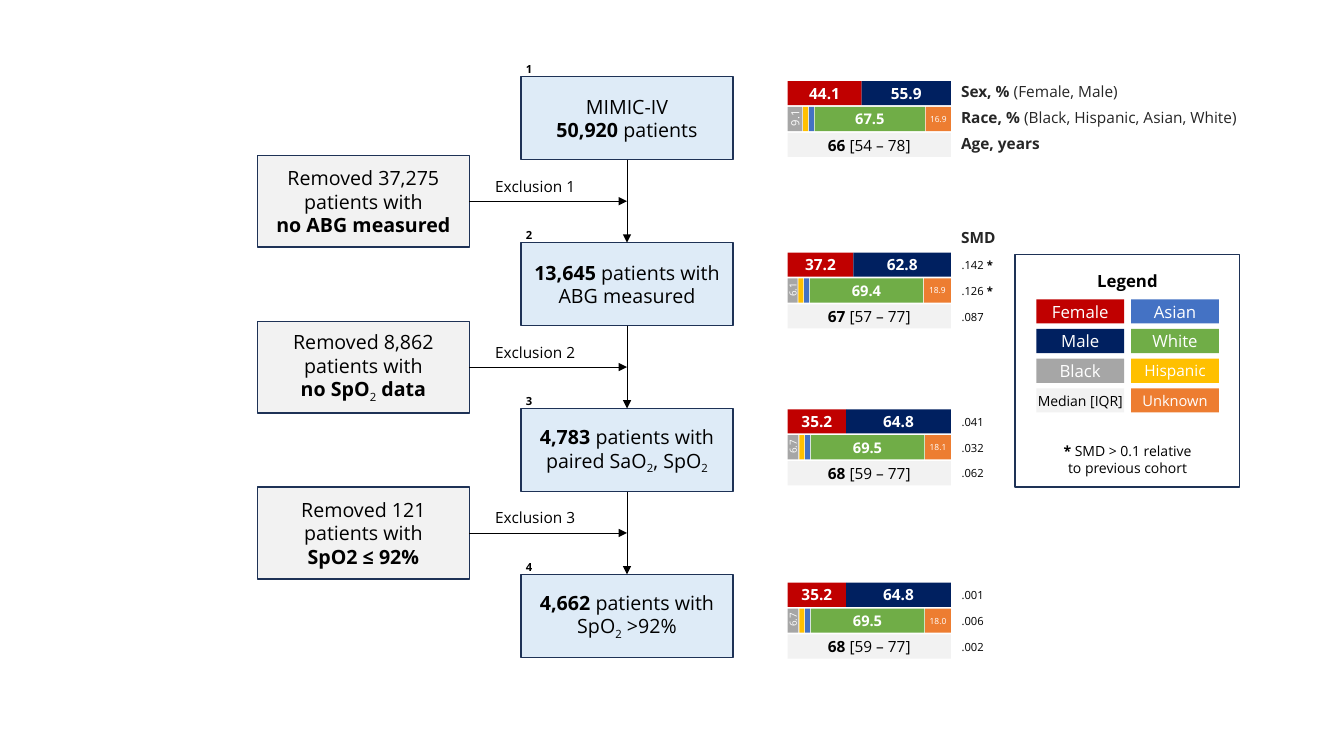
from pptx import Presentation
from pptx.dml.color import RGBColor
from pptx.enum.shapes import MSO_CONNECTOR, MSO_SHAPE
from pptx.enum.text import MSO_ANCHOR, PP_ALIGN
from pptx.oxml.ns import qn
from pptx.util import Pt
from lxml import etree

RECTANGLE = MSO_SHAPE.RECTANGLE
STRAIGHT = MSO_CONNECTOR.STRAIGHT
TOP, MIDDLE = MSO_ANCHOR.TOP, MSO_ANCHOR.MIDDLE
LEFT, CENTER = PP_ALIGN.LEFT, PP_ALIGN.CENTER

BLACK, WHITE, DARK = "000000", "FFFFFF", "262626"
NAVY_LINE, PALE_BLUE, PALE_GREY = "1E3256", "DEEBF7", "F2F2F2"
FEMALE, MALE = "C00000", "002060"
RACE_BLACK, HISPANIC, ASIAN = "A6A6A6", "FFC000", "4472C4"
RACE_WHITE, UNKNOWN = "70AD47", "ED7D31"


def color(value):
    """Turn a hex string into a colour."""
    return RGBColor.from_string(value)


def write(shape, text, size=11, ink=BLACK, font="Open Sans", align=CENTER,
          anchor=MIDDLE, inset=(0, 0), wrap=True):
    """Fill a shape with text, where |x| is bold and ~x~ is subscript."""
    frame = shape.text_frame
    frame.word_wrap = wrap
    frame.vertical_anchor = anchor
    frame.margin_left = frame.margin_right = Pt(inset[0])
    frame.margin_top = frame.margin_bottom = Pt(inset[1])
    paragraph = frame.paragraphs[0]
    paragraph.alignment = align
    for bold_index, part in enumerate(text.split("|")):
        for sub_index, piece in enumerate(part.split("~")):
            for line_index, line in enumerate(piece.split("\n")):
                if line_index:
                    paragraph.add_line_break()
                if not line:
                    continue
                run = paragraph.add_run()
                run.text = line
                run.font.name = font
                run.font.size = Pt(size)
                run.font.color.rgb = color(ink)
                subscript = sub_index % 2 == 1
                run.font.bold = bold_index % 2 == 1 and not subscript
                if subscript:
                    run.font.element.set("baseline", "-25000") if hasattr(
                        run.font, "element") else run._r.get_or_add_rPr().set("baseline", "-25000")


class Canvas:
    """Hold the style and the current slide."""

    inset = (7.2, 3.6)

    def __init__(self, slide):
        """Draw on the given slide."""
        self.shapes = slide.shapes

    def box(self, left, top, width, height, fill=None, line=None, text="", **style):
        """Add a rectangle with optional fill, outline and text."""
        shape = self.shapes.add_shape(RECTANGLE, Pt(left), Pt(top), Pt(width), Pt(height))
        shape.shadow.inherit = False
        if fill:
            shape.fill.solid()
            shape.fill.fore_color.rgb = color(fill)
        else:
            shape.fill.background()
        if line:
            shape.line.color.rgb = color(line)
            shape.line.width = Pt(1)
        else:
            shape.line.fill.background()
        if text:
            write(shape, text, **style)

    def label(self, left, top, width, height, text, rotation=0, **style):
        """Add a text box."""
        shape = self.shapes.add_textbox(Pt(left), Pt(top), Pt(width), Pt(height))
        shape.rotation = rotation
        write(shape, text, **{"anchor": TOP, "inset": self.inset, **style})

    def arrow(self, start_x, start_y, end_x, end_y):
        """Add a thin black arrow."""
        connector = self.shapes.add_connector(
            STRAIGHT, Pt(start_x), Pt(start_y), Pt(end_x), Pt(end_y))
        connector.line.color.rgb = color(BLACK)
        connector.line.width = Pt(0.5)
        properties = connector.element.spPr
        etree.SubElement(properties.find(qn("a:ln")), qn("a:tailEnd"), type="triangle")
        etree.SubElement(properties, qn("a:effectLst"))


BOX_WIDTH, COHORT_HEIGHT, REMOVED_HEIGHT = 151.4, 59.3, 65.5
COHORT_LEFT, REMOVED_LEFT = 372.2, 183.9
FLOW_TOP, FLOW_PITCH = 54.8, 118.5
BAR_LEFT, BAR_WIDTH, BAR_HEIGHT, ROW_PITCH = 562.6, 116.7, 17.3, 18.5
LABEL_LEFT = 679.4

COHORTS = ["MIMIC-IV\n|50,920 |patients", "|13,645 |patients with ABG measured",
           "|4,783 |patients with paired SaO~2~, SpO~2~",
           "|4,662 |patients with SpO~2~ >92%"]
REMOVALS = ["Removed 37,275 patients with\n|no ABG measured|",
            "Removed 8,862 patients with\n|no SpO~2~ data|",
            "Removed 121 patients with\n|SpO2 ≤ 92%|"]
# top, female width, female, male, black, white, unknown, age, SMD values
PROFILES = [
    (57.9, 52.8, "44.1", "55.9", "9.1", "67.5", "16.9", "|66| [54 – 78]", []),
    (181.0 - 0.6, 47, "37.2", "62.8", "6.1", "69.4", "18.9", "|67| [57 – 77]",
     [".142 |*|", ".126 |*|", ".087"]),
    (292.4, 41.8, "35.2", "64.8", "6.7", "69.5", "18.1", "|68| [59 – 77]",
     [".041", ".032", ".062"]),
    (416.2, 41.8, "35.2", "64.8", "6.7", "69.5", "18.0", "|68| [59 – 77]",
     [".001", ".006", ".002"]),
]
HEADINGS = ["|Sex, % |(Female, Male)", "|Race, % |(Black, Hispanic, Asian, White)",
            "|Age, years|"]
LEGEND = [[("Female", FEMALE, 12), ("Asian", ASIAN, 12)],
          [("Male", MALE, 12), ("White", RACE_WHITE, 12)],
          [("Black", RACE_BLACK, 12), ("Hispanic", HISPANIC, 11)],
          [("Median [IQR]", PALE_GREY, 10), ("Unknown", UNKNOWN, 10.5)]]


def draw_flow(canvas):
    """Draw the cohorts, the removed patients and the arrows."""
    middle = COHORT_LEFT + BOX_WIDTH / 2
    removed_right = REMOVED_LEFT + BOX_WIDTH
    for index, cohort in enumerate(COHORTS):
        top = FLOW_TOP + index * FLOW_PITCH
        canvas.box(COHORT_LEFT, top, BOX_WIDTH, COHORT_HEIGHT, PALE_BLUE, NAVY_LINE,
                   cohort, size=14, inset=canvas.inset)
        canvas.label(368.6, top - 13.8, 15.8, 17.3, f"|{index + 1}|", size=8,
                     align=LEFT, wrap=False)
    for index, removal in enumerate(REMOVALS):
        bottom = FLOW_TOP + index * FLOW_PITCH + COHORT_HEIGHT
        branch = bottom + (FLOW_PITCH - COHORT_HEIGHT) / 2
        canvas.box(REMOVED_LEFT, branch - REMOVED_HEIGHT / 2, BOX_WIDTH, REMOVED_HEIGHT,
                   PALE_GREY, NAVY_LINE, removal, size=14, inset=canvas.inset)
        canvas.arrow(middle, bottom, middle, FLOW_TOP + (index + 1) * FLOW_PITCH)
        canvas.arrow(removed_right, branch, middle, branch)
        canvas.label(334.1, branch - 21, 96.5, 20.9, f"Exclusion {index + 1}")


def draw_profile(canvas, top, female_width, female, male, black, white, unknown, age, smds):
    """Draw the sex, race and age bars of one cohort with its SMD values."""
    right = BAR_LEFT + BAR_WIDTH
    canvas.box(BAR_LEFT, top, female_width, BAR_HEIGHT, FEMALE, text=f"|{female}|", ink=WHITE)
    canvas.box(BAR_LEFT + female_width, top, BAR_WIDTH - female_width, BAR_HEIGHT, MALE,
               text=f"|{male}|", ink=WHITE)

    race_top, gap, sliver = top + ROW_PITCH, 0.5, 3.6
    black_width, white_width = (float(share) / 100 * BAR_WIDTH for share in (black, white))
    left = BAR_LEFT
    for width, fill, text in [(black_width, RACE_BLACK, ""), (sliver, HISPANIC, ""),
                              (sliver, ASIAN, ""), (white_width, RACE_WHITE, f"|{white}|")]:
        canvas.box(left, race_top, width, BAR_HEIGHT, fill, text=text, size=10.5, ink=WHITE)
        left += width + gap
    canvas.box(left, race_top, right - left, BAR_HEIGHT, UNKNOWN, text=unknown, size=6,
               ink=WHITE, wrap=False)
    canvas.label(BAR_LEFT + black_width / 2 - 13.3, race_top - 0.5, 26.6, BAR_HEIGHT, black,
                 rotation=270, size=8 if black_width > 8 else 7, ink=WHITE,
                 anchor=MIDDLE, inset=(0, 0))

    canvas.box(BAR_LEFT, top + 2 * ROW_PITCH, BAR_WIDTH, BAR_HEIGHT, PALE_GREY, text=age)
    for row, smd in enumerate(smds):
        canvas.label(LABEL_LEFT + 0.4, top + 0.5 + row * ROW_PITCH, 40.3, 17.3, smd,
                     size=8, align=LEFT)


def draw_legend(canvas):
    """Draw the framed colour key and its footnote."""
    canvas.box(725, 181.7, 160.6, 166.3, line=NAVY_LINE)
    canvas.label(740.2, 190.1, 130.3, 21.6, "|Legend|", size=12)
    for row, entries in enumerate(LEGEND):
        for column, (name, fill, size) in enumerate(entries):
            canvas.box(740.2 + column * 67.7, 213.8 + row * 21.2, 62.8, BAR_HEIGHT, fill,
                       text=name, size=size, wrap=False,
                       ink=BLACK if fill == PALE_GREY else WHITE)
    canvas.label(740.2, 312.5, 130.3, 31.7, "|*| SMD > 0.1 relative\nto previous cohort", size=10)


def main():
    """Build and save the slide."""
    presentation = Presentation()
    presentation.slide_width, presentation.slide_height = Pt(960), Pt(540)
    canvas = Canvas(presentation.slides.add_slide(presentation.slide_layouts[6]))
    draw_flow(canvas)
    for profile in PROFILES:
        draw_profile(canvas, *profile)
    for row, heading in enumerate(HEADINGS):
        canvas.label(LABEL_LEFT, 54.9 + row * 18.7, 268.6, 20.9, heading, ink=DARK, align=LEFT)
    canvas.label(LABEL_LEFT, 159.2, 57.6, 20.9, "|SMD|", ink=DARK, align=LEFT)
    draw_legend(canvas)
    presentation.save("out.pptx")


main()
